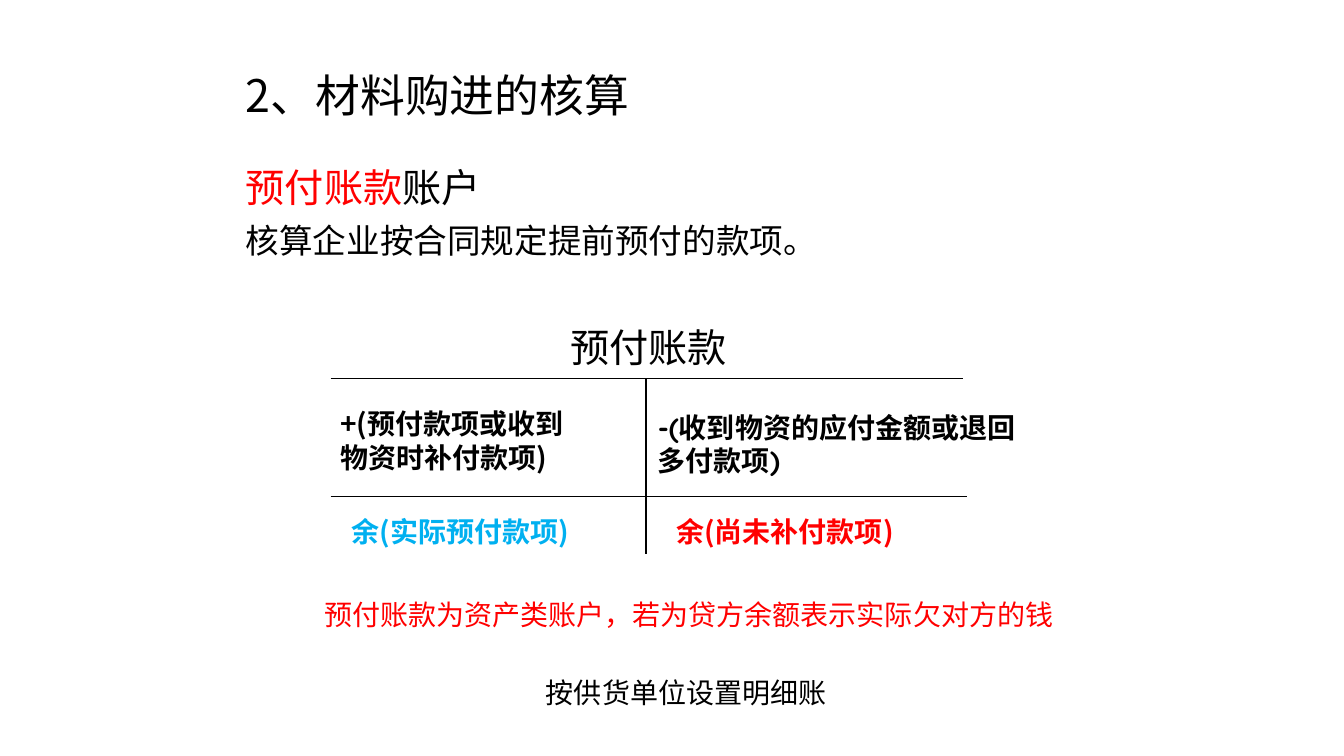
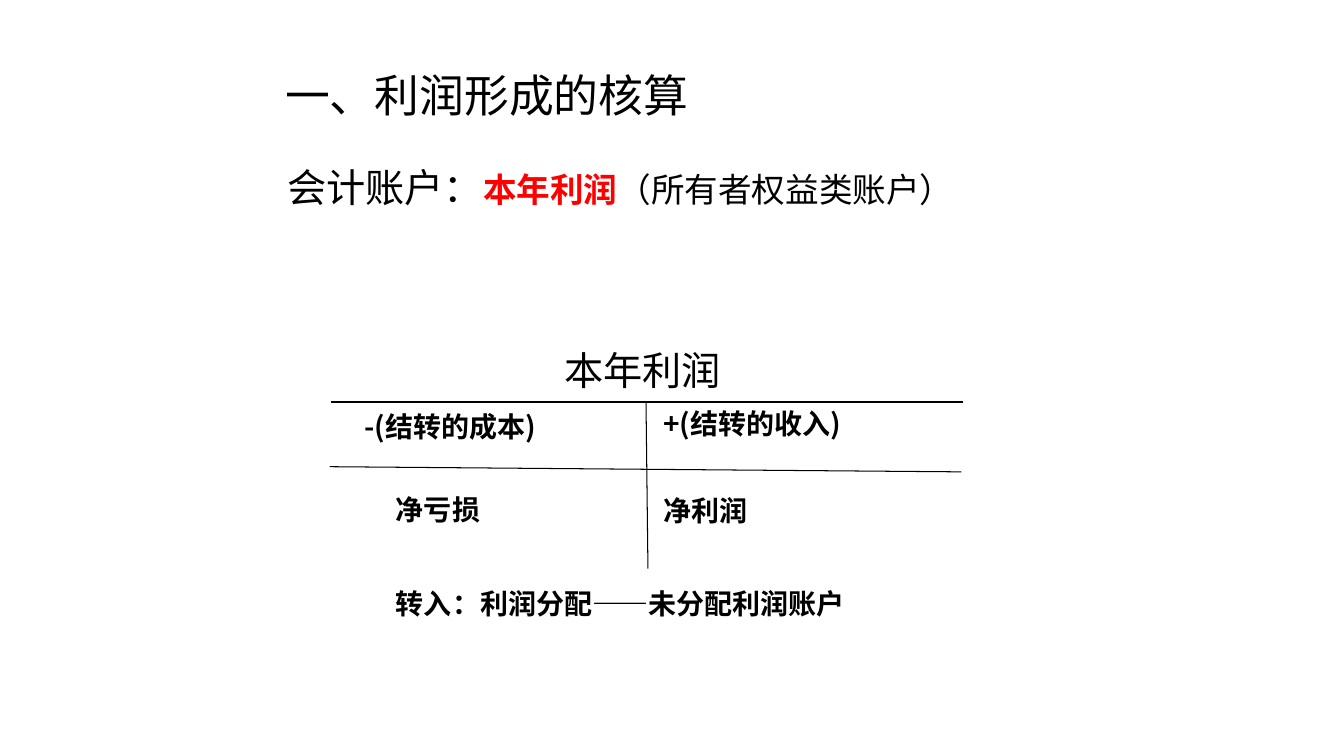
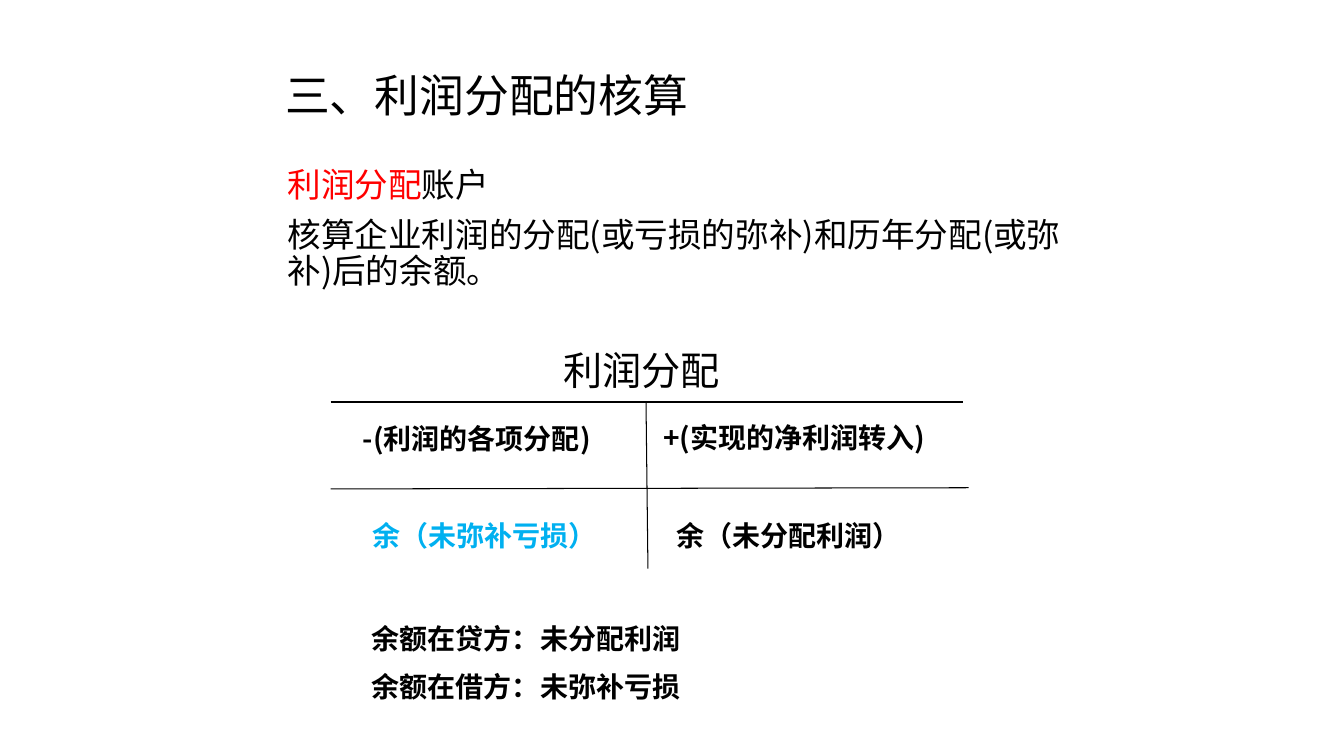
from lxml.etree import SubElement
from pptx import Presentation
from pptx.dml.color import RGBColor
from pptx.enum.shapes import MSO_CONNECTOR
from pptx.enum.text import MSO_ANCHOR, MSO_AUTO_SIZE as FIT, PP_ALIGN
from pptx.oxml.ns import qn
from pptx.util import Cm, Pt

# Shared look
SANS, ROUND = "Noto Sans CJK SC", "Quicksand"
BLACK, RED, BLUE = "000000", "FF0000", "00B0F0"
TITLE_SIZE, HEAD_SIZE, BODY_SIZE, NOTE_SIZE = 32, 28, 24, 20


def paint(color, value):
    color.rgb = RGBColor.from_string(value)


def style(font, size, value=BLACK, bold=False, latin=SANS):
    font.size, font.bold, font.name = Pt(size), bold, latin
    paint(font.color, value)
    SubElement(font._element, qn("a:ea")).set("typeface", SANS)


# Body: paragraphs of (text, size, colour, bold) spans
# Lines: left, top, right, bottom in cm
# Labels: left, top, width, lines of text, then size, colour, bold, latin font
PAGES = [
    {
        "title": (5.94, "2、材料购进的核算"),
        "body": (5.94, 23.01, 6.6, [
            [("预付账款", HEAD_SIZE, RED, False), ("账户", HEAD_SIZE, BLACK, False)],
            [("核算企业按合同规定提前预付的款项。", BODY_SIZE, BLACK, False)],
        ]),
        "lines": [(8.33, 9.53, 24.26, 9.53), (16.28, 9.53, 16.28, 13.97),
                  (8.33, 12.5, 24.38, 12.5)],
        "labels": [
            (14.12, 8.03, 5.92, ["预付账款"], HEAD_SIZE),
            (8.33, 10.13, 6.81, ["+(预付款项或收到物资时补付款项)"], NOTE_SIZE, BLACK, True),
            (16.33, 10.21, 9.65, ["-(收到物资的应付金额或退回多付款项)"],
             NOTE_SIZE, BLACK, True, ROUND),
            (8.61, 12.85, 8, ["余(实际预付款项)"], NOTE_SIZE, BLUE, True),
            (16.79, 12.83, 8, ["余(尚未补付款项)"], NOTE_SIZE, RED, True),
            (7.92, 14.94, 20.73, ["预付账款为资产类账户，若为贷方余额表示实际欠对方的钱"],
             NOTE_SIZE, RED),
            (13.51, 16.89, 15.52, ["按供货单位设置明细账"], NOTE_SIZE),
        ],
    },
    {
        "title": (6.93, "一、利润形成的核算"),
        "body": (6.99, 20.4, 12.01, [
            [("会计账户：", HEAD_SIZE, BLACK, False), ("本年利润", BODY_SIZE, RED, True),
             ("（所有者权益类账户）", BODY_SIZE, BLACK, False)],
        ]),
        "lines": [(8.33, 10.13, 24.26, 10.13), (16.28, 10.13, 16.33, 14.33),
                  (8.31, 11.76, 24.23, 11.89)],
        "labels": [
            (13.97, 8.61, 8, ["本年利润"], HEAD_SIZE),
            (8.94, 10.19, 9.04, ["-(结转的成本)"], NOTE_SIZE, BLACK, True),
            (16.46, 10.13, 9.65, ["+(结转的收入)"], NOTE_SIZE, BLACK, True),
            (9.73, 12.29, 9.65, ["净亏损"], NOTE_SIZE, BLACK, True),
            (16.46, 12.32, 9.65, ["净利润"], NOTE_SIZE, BLACK, True),
            (9.73, 14.66, 18.21, ["转入：利润分配——未分配利润账户"], NOTE_SIZE, BLACK, True),
        ],
    },
    {
        "title": (6.93, "三、利润分配的核算"),
        "body": (6.99, 20.4, 12.01, [
            [("利润分配", BODY_SIZE, RED, False), ("账户", BODY_SIZE, BLACK, False)],
            [("核算企业利润的分配(或亏损的弥补)和历年分配(或弥补)后的余额。",
              BODY_SIZE, BLACK, False)],
        ]),
        "lines": [(8.33, 10.13, 24.26, 10.13), (16.28, 10.13, 16.33, 14.33),
                  (8.33, 12.32, 24.41, 12.29)],
        "labels": [
            (13.94, 8.59, 8, ["利润分配"], HEAD_SIZE),
            (8.89, 10.49, 9.04, ["-(利润的各项分配)"], NOTE_SIZE, BLACK, True),
            (16.46, 10.46, 9.04, ["+(实现的净利润转入)"], NOTE_SIZE, BLACK, True),
            (9.14, 12.95, 10.8, ["余（未弥补亏损）"], NOTE_SIZE, BLUE, True),
            (16.79, 12.95, 10.8, ["余（未分配利润）"], NOTE_SIZE, BLACK, True),
            (9.12, 15.54, 10.8, ["余额在贷方：未分配利润", "余额在借方：未弥补亏损"],
             NOTE_SIZE, BLACK, True),
        ],
    },
]

deck = Presentation()
deck.slide_width, deck.slide_height = Cm(33.87), Cm(19.05)

for content in PAGES:
    page = deck.slides.add_slide(deck.slide_layouts[1])

    # Title
    left, text = content["title"]
    title = page.shapes.title
    title.left, title.top, title.width, title.height = Cm(left), Cm(1.32), Cm(19.05), Cm(2.29)
    title.text_frame.text = text
    title.text_frame.vertical_anchor = MSO_ANCHOR.MIDDLE
    title.text_frame.auto_size = FIT.NONE
    para = title.text_frame.paragraphs[0]
    para.alignment, para.line_spacing = PP_ALIGN.LEFT, 0.9
    style(para.font, TITLE_SIZE)

    # Body text without bullets
    left, width, height, paragraphs = content["body"]
    body = page.placeholders[1]
    body.left, body.top, body.width, body.height = Cm(left), Cm(4.11), Cm(width), Cm(height)
    frame = body.text_frame
    frame.auto_size = FIT.NONE
    for index, spans in enumerate(paragraphs):
        para = frame.add_paragraph() if index else frame.paragraphs[0]
        para.line_spacing, para.space_before = 0.9, Pt(10 if index else 0)
        properties = para._p.get_or_add_pPr()
        properties.set("marL", "0")
        properties.set("indent", "0")
        SubElement(properties, qn("a:buNone"))
        for text, *look in spans:
            span = para.add_run()
            span.text = text
            style(span.font, *look)

    # Ruling of the T account
    for ends in content["lines"]:
        line = page.shapes.add_connector(MSO_CONNECTOR.STRAIGHT, *map(Cm, ends))
        line.line.width = Pt(0.75)
        paint(line.line.color, BLACK)
        SubElement(line._element.spPr, qn("a:effectLst"))

    # Account name, entries and remarks
    for left, top, width, texts, *look in content["labels"]:
        box = page.shapes.add_textbox(Cm(left), Cm(top), Cm(width), Cm(1.12))
        frame = box.text_frame
        frame.word_wrap, frame.auto_size = True, FIT.SHAPE_TO_FIT_TEXT
        frame.text = "\n".join(texts)
        for index, para in enumerate(frame.paragraphs):
            para.space_before = Pt(10 if index else 0)
            style(para.font, *look)

deck.save("out.pptx")
